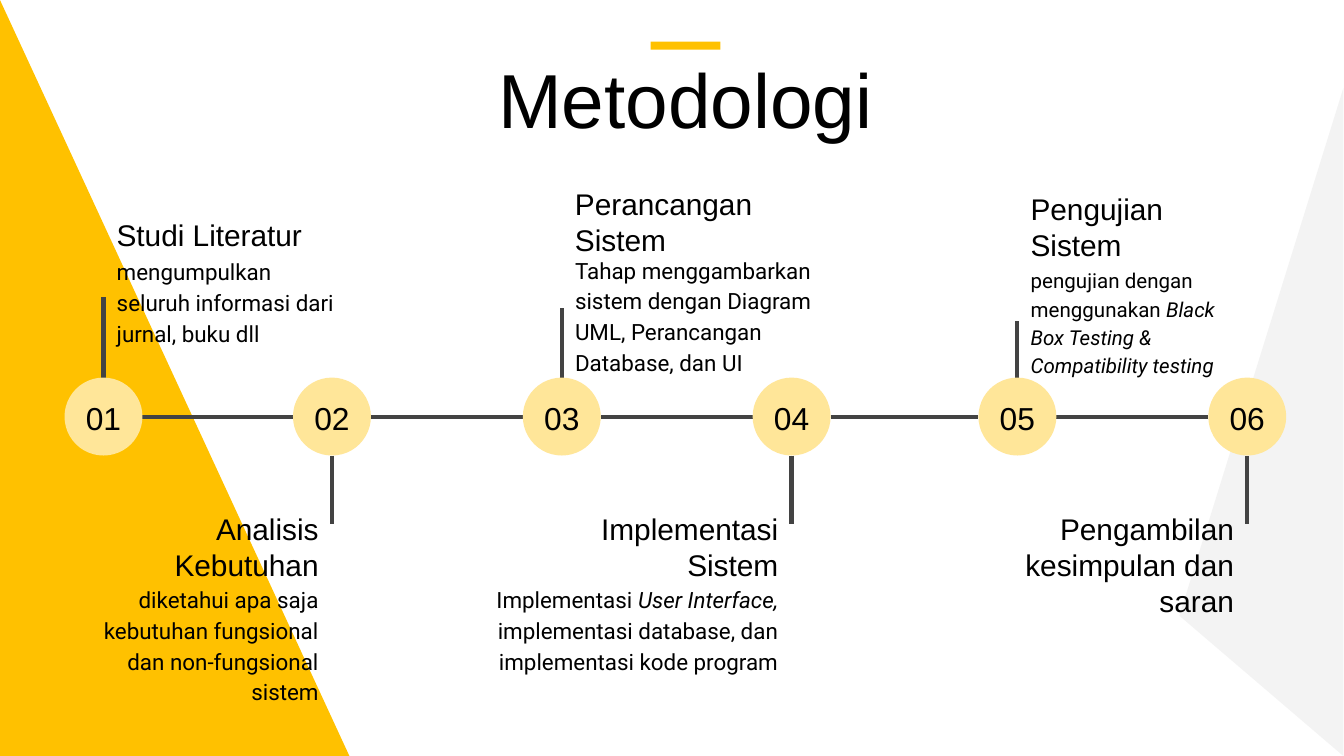
from lxml import etree
from pptx import Presentation
from pptx.dml.color import RGBColor
from pptx.enum.shapes import MSO_CONNECTOR, MSO_SHAPE
from pptx.enum.text import MSO_ANCHOR, MSO_AUTO_SIZE, PP_ALIGN
from pptx.oxml.ns import qn
from pptx.util import Inches, Pt

LEFT, CENTER, RIGHT = PP_ALIGN.LEFT, PP_ALIGN.CENTER, PP_ALIGN.RIGHT
TOP, MIDDLE = MSO_ANCHOR.TOP, MSO_ANCHOR.MIDDLE
COLORS = {
    "text": "000000",
    "accent": "FFC100",
    "circle": "FFE699",
    "line": "434343",
    "gray": "F3F3F3",
}
DIAMETER = 0.58
RADIUS = DIAMETER / 2
AXIS = 3.1
HEADING_WIDTH = 1.84
STEPS = [
    {"center": 0.77, "stem_end": 2.21, "heading": "Studi Literatur", "heading_top": 1.51,
     "body": [("mengumpulkan seluruh informasi dari jurnal, buku dll", False)],
     "body_box": (1.79, 1.88, 0.84), "size": 12},
    {"center": 2.47, "stem_end": 3.9, "heading": "Analisis Kebutuhan", "heading_top": 3.7,
     "body": [("diketahui apa saja kebutuhan fungsional dan non-fungsional sistem", False)],
     "body_box": (4.23, 1.84, 0.87), "size": 12},
    {"center": 4.18, "stem_end": 2.29, "heading": "Perancangan Sistem", "heading_top": 1.28,
     "body": [("Tahap menggambarkan sistem dengan Diagram UML, Perancangan Database, dan UI", False)],
     "body_box": (1.78, 1.98, 1.03), "size": 12},
    {"center": 5.89, "stem_end": 3.9, "heading": "Implementasi Sistem", "heading_top": 3.7,
     "body": [("Implementasi ", False), ("User Interface, ", True),
              ("implementasi database, dan implementasi kode program", False)],
     "body_box": (4.23, 2.37, 0.63), "size": 12},
    {"center": 7.57, "stem_end": 2.39, "heading": "Pengujian Sistem", "heading_top": 1.32,
     "body": [("pengujian dengan menggunakan ", False),
              ("Black Box Testing & Compatibility testing", True)],
     "body_box": (1.87, 1.84, 1.03), "size": 11},
    {"center": 9.28, "stem_end": 3.9, "heading": "Pengambilan kesimpulan dan saran",
     "heading_top": 3.7, "body": []},
]

presentation = Presentation()
presentation.slide_width = Inches(10)
presentation.slide_height = Inches(10) * 9 // 16
slide = presentation.slides.add_slide(presentation.slide_layouts[5])
shapes = slide.shapes


def write_text(shape, box, runs, size, font="Arial", align=LEFT, anchor=TOP, top_inset=0.1):
    shape.left, shape.top, shape.width, shape.height = [Inches(value) for value in box]
    frame = shape.text_frame
    frame.word_wrap = True
    frame.auto_size = MSO_AUTO_SIZE.NONE
    frame.vertical_anchor = anchor
    frame.margin_left = frame.margin_right = frame.margin_bottom = Inches(0.1)
    frame.margin_top = Inches(top_inset)
    paragraph = frame.paragraphs[0]
    paragraph.alignment = align
    for text, italic in runs:
        run = paragraph.add_run()
        run.text = text
        run.font.name = font
        run.font.size = Pt(size)
        run.font.italic = italic
        run.font.color.rgb = RGBColor.from_string(COLORS["text"])
    return paragraph


def add_filled(kind, box, color):
    shape = shapes.add_shape(kind, *[Inches(value) for value in box])
    shape.shadow.inherit = False
    shape.fill.solid()
    shape.fill.fore_color.rgb = RGBColor.from_string(COLORS[color])
    shape.line.fill.background()
    return shape


gray_triangle = add_filled(MSO_SHAPE.ISOSCELES_TRIANGLE, (6.9, 2.53, 4.97, 1.22), "gray")
gray_triangle.adjustments[0] = 0.21
gray_triangle.rotation = 270
yellow_triangle = add_filled(MSO_SHAPE.RIGHT_TRIANGLE, (0, 0, 2.6, 5.62), "accent")
yellow_triangle.height = presentation.slide_height
add_filled(MSO_SHAPE.RECTANGLE, (4.84, 0.31, 0.52, 0.06), "accent")
write_text(shapes.title, (0.98, 0.28, 8.24, 0.63), [("Metodologi", False)], 41,
           align=CENTER, top_inset=0.11)

segments = []
for step in STEPS:
    side = 1 if step["stem_end"] > AXIS else -1
    segments.append((step["center"], AXIS + side * RADIUS, step["center"], step["stem_end"]))
for step, following in zip(STEPS, STEPS[1:]):
    segments.append((step["center"] + RADIUS, AXIS, following["center"] - RADIUS, AXIS))
for segment in segments:
    connector = shapes.add_connector(MSO_CONNECTOR.STRAIGHT, *[Inches(value) for value in segment])
    connector.line.width = Pt(2.25)
    connector.line.color.rgb = RGBColor.from_string(COLORS["line"])
    etree.SubElement(connector._element.spPr, qn("a:effectLst"))

for number, step in enumerate(STEPS, start=1):
    center = step["center"]
    below = step["stem_end"] > AXIS
    align = RIGHT if below else LEFT
    circle_left = center - RADIUS
    add_filled(MSO_SHAPE.OVAL, (circle_left, AXIS - RADIUS, DIAMETER, DIAMETER), "circle")
    write_text(shapes.add_textbox(0, 0, 0, 0), (circle_left, 2.9, DIAMETER, 0.4),
               [(f"{number:02}", False)], 17, align=CENTER, anchor=MIDDLE, top_inset=0.12)

    heading_left = center - HEADING_WIDTH if below else center
    write_text(shapes.add_textbox(0, 0, 0, 0),
               (heading_left, step["heading_top"], HEADING_WIDTH, 0.4),
               [(step["heading"], False)], 16, align=align)
    if step["body"]:
        top, width, height = step["body_box"]
        body_left = center - width if below else center
        paragraph = write_text(shapes.add_textbox(0, 0, 0, 0), (body_left, top, width, height),
                               step["body"], step["size"], font="Roboto", align=align)
        paragraph.line_spacing = 1.15
        paragraph.space_after = Pt(16)

presentation.save("out.pptx")
